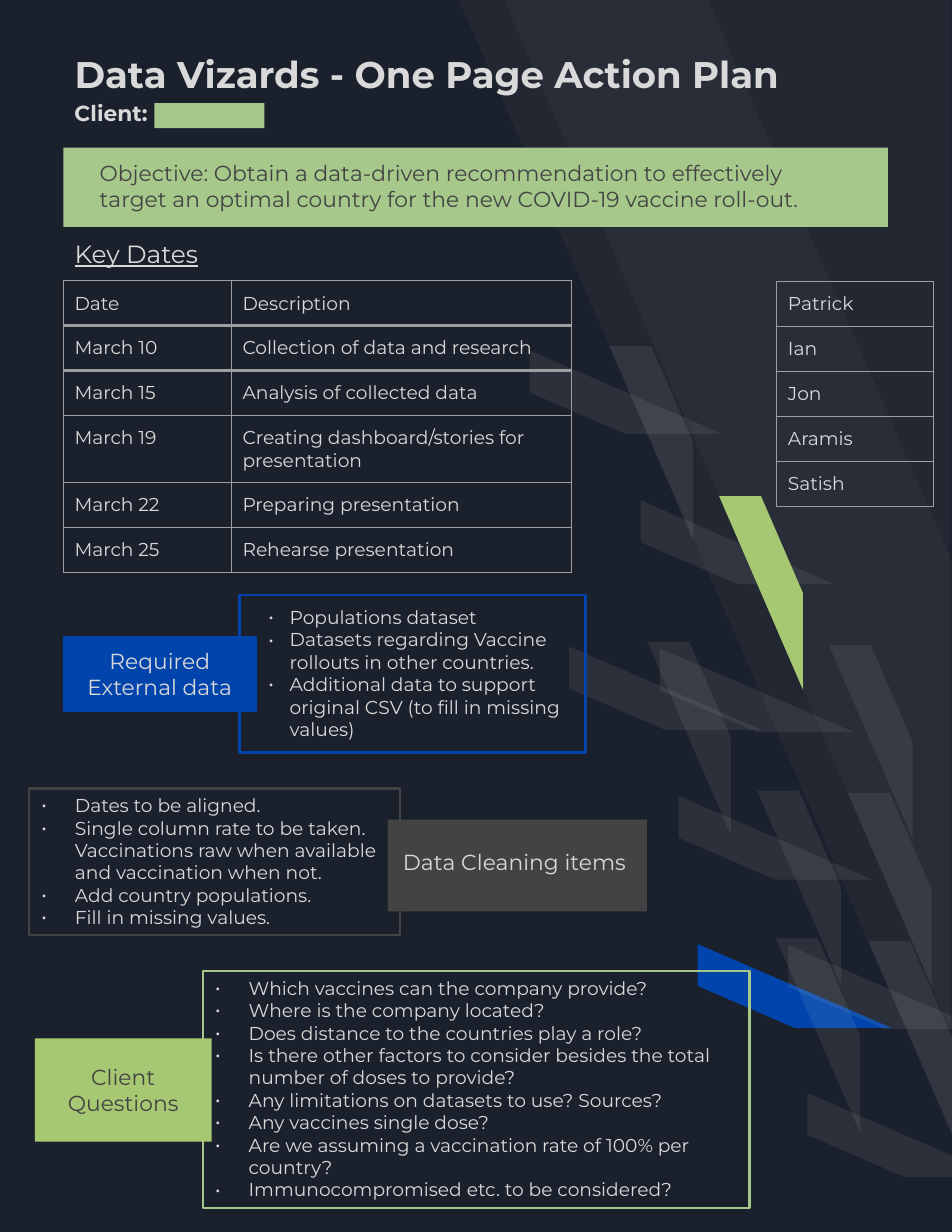
import pptx
import pptx.util
import pptx.dml.color
import pptx.enum.shapes
import pptx.enum.text
import pptx.oxml
import pptx.oxml.ns
from pptx.util import Cm, Pt

LIGHT, DARK, EDGE = "D9D9D9", "434343", "9E9E9E"
BLUE, LIME, SAGE, WHITE = "0145AC", "A7C872", "A7C88B", "FFFFFF"
FONT = "Montserrat"
SHAPE = pptx.enum.shapes.MSO_SHAPE
ALIGN = pptx.enum.text.PP_ALIGN
ANCHOR = pptx.enum.text.MSO_ANCHOR
qn = pptx.oxml.ns.qn
NS = pptx.oxml.ns.nsdecls("a")


def color(code):
    return pptx.dml.color.RGBColor.from_string(code)


def lengths(box):
    return [Cm(value) for value in box]


def write(frame, lines, size, code, align=ALIGN.LEFT, pad=0.25, bold=False):
    """Fill a text frame with one paragraph per line."""
    frame.word_wrap = True
    frame.margin_left = frame.margin_right = Cm(0.25)
    frame.margin_top = frame.margin_bottom = Cm(pad)
    frame.text = "\n".join(lines)
    for para in frame.paragraphs:
        para.alignment = align
        for run in para.runs:
            run.font.name = FONT
            run.font.size = Pt(size)
            run.font.bold = bold
            run.font.color.rgb = color(code)


def block(slide, box, fill=None, line=None, width=1.5, kind=SHAPE.RECTANGLE):
    shape = slide.shapes.add_shape(kind, *lengths(box))
    shape.shadow.inherit = False
    if fill:
        shape.fill.solid()
        shape.fill.fore_color.rgb = color(fill)
    else:
        shape.fill.background()
    if line:
        shape.line.color.rgb = color(line)
        shape.line.width = Pt(width)
    else:
        shape.line.fill.background()
    shape.text_frame.vertical_anchor = ANCHOR.TOP
    return shape


def stripe(slide, box, flip, fill=WHITE, adjust=0.5, alpha=7):
    shape = block(slide, box, fill, kind=SHAPE.DIAGONAL_STRIPE)
    shape.adjustments[0] = adjust
    shape.element.spPr.find(qn("a:xfrm")).set(flip, "1")
    if fill == WHITE:
        tone = shape.element.spPr.find(qn("a:solidFill"))[0]
        tone.append(pptx.oxml.parse_xml(f'<a:alpha {NS} val="{alpha * 1000}"/>'))


def backdrop(slide):
    # Two large bands
    stripe(slide, (10.41, 0, 11.18, 25.7), "flipH", adjust=0.495, alpha=3)
    stripe(slide, (11.44, 0, 10.11, 23.34), "flipH", adjust=0, alpha=3)
    # Runs of small stripes: left, top, count, fill
    flat = [(12.01, 7.95, 1, WHITE), (12.9, 14.66, 1, WHITE), (14.53, 11.35, 3, WHITE),
            (15.82, 21.41, 1, BLUE), (17.88, 21.44, 2, WHITE)]
    tall = [(13.82, 7.85, 1, WHITE), (14.68, 14.55, 1, WHITE), (16.31, 11.25, 1, LIME),
            (18.8, 14.63, 2, WHITE), (17.17, 17.93, 2, WHITE), (19.69, 21.34, 1, WHITE)]
    for runs, size, flip in ((flat, (4.39, 1.9), "flipV"), (tall, (1.9, 4.39), "flipH")):
        for left, top, count, fill in runs:
            for step in range(count):
                place = (left + 0.43 * step, top + 3.35 * step)
                stripe(slide, place + size, flip, fill)


def bullets(slide, box, lines, line, indent=0.79, hang=0.76, pad=0.13):
    shape = block(slide, box, line=line)
    write(shape.text_frame, lines, 12, LIGHT, pad=pad)
    for para in shape.text_frame.paragraphs:
        props = para._p.get_or_add_pPr()
        props.set("marL", str(Cm(indent)))
        props.set("indent", str(-Cm(hang)))
        for mark in (f'<a:buClr {NS}><a:srgbClr val="{LIGHT}"/></a:buClr>',
                     f'<a:buFont {NS} typeface="{FONT}"/>',
                     f'<a:buChar {NS} char="•"/>'):
            props.append(pptx.oxml.parse_xml(mark))


def label(slide, box, text, code=LIGHT, bold=False):
    shape = slide.shapes.add_textbox(*lengths(box))
    write(shape.text_frame, [text], 14, code, bold=bold)


def border(cell, widths):
    """Set cell edges in points; zero hides an edge."""
    props = cell._tc.get_or_add_tcPr()
    for side, width in widths.items():
        fill = f'<a:solidFill><a:srgbClr val="{EDGE}"/></a:solidFill>' if width else "<a:noFill/>"
        props.append(pptx.oxml.parse_xml(
            f'<a:ln{side} {NS} w="{Pt(width)}">{fill}</a:ln{side}>'))


def grid(slide, left, top, cols, heights, rows):
    frame = slide.shapes.add_table(len(rows), len(cols), Cm(left), Cm(top),
                                   Cm(sum(cols)), Cm(sum(heights)))
    table = frame.table
    table.first_row = table.horz_banding = False
    plain = "{2D5ABB26-0587-4C30-8999-92F81FD0307C}"
    table._tbl.tblPr.find(qn("a:tableStyleId")).text = plain
    for col, width in zip(table.columns, cols):
        col.width = Cm(width)
    for row, height, texts in zip(table.rows, heights, rows):
        row.height = Cm(height)
        for cell, text in zip(row.cells, texts):
            write(cell.text_frame, [text], 12, LIGHT)
            cell.margin_left = cell.margin_right = Cm(0.25)
            cell.margin_top = cell.margin_bottom = Cm(0.25)
    return table


def dates(slide):
    rows = [("Key Dates", ""), ("Date", "Description"),
            ("March 10", "Collection of data and research"),
            ("March 15", "Analysis of collected data"),
            ("March 19", "Creating dashboard/stories for presentation"),
            ("March 22", "Preparing presentation"),
            ("March 25", "Rehearse presentation")]
    heights = [1.19, 1, 1.02, 1.02, 1.52, 1.02, 1.02]
    table = grid(slide, 1.44, 5.18, (3.81, 7.7), heights, rows)
    for index, row in enumerate(table.rows):
        side = 0.75 if index else 0
        base = 2.25 if index in (1, 2) else 0.75
        for cell in row.cells:
            border(cell, {"L": side, "R": side, "T": side, "B": base})
            cell.fill.background()
    head = table.cell(0, 0)
    head.merge(table.cell(0, 1))
    run = head.text_frame.paragraphs[0].runs[0]
    run.font.size = Pt(16)
    run.font.underline = True


def team(slide):
    names = [(name,) for name in ("Patrick", "Ian", "Jon", "Aramis", "Satish")]
    table = grid(slide, 17.62, 6.38, (3.56,), [1.02] * len(names), names)
    for cell in table.iter_cells():
        border(cell, dict.fromkeys("LRTB", 0.75))
        cell.fill.background()


def heading(slide):
    title = slide.shapes.title
    title.left, title.top, title.width, title.height = lengths((1.44, 0.13, 18.7, 3.07))
    write(title.text_frame, ["Data Vizards - One Page Action Plan"], 23.8, LIGHT, bold=True)
    title.text_frame.vertical_anchor = ANCHOR.MIDDLE
    title.element.getparent().append(title.element)
    # Client line with a plain plate
    label(slide, (1.44, 2.02, 2.3, 1.1), "Client:", bold=True)
    block(slide, (3.5, 2.34, 2.5, 0.57), SAGE)
    # Objective
    block(slide, (1.44, 3.35, 18.7, 1.8), SAGE)
    label(slide, (2.01, 3.38, 17.6, 1.7), "Objective: Obtain a data-driven recommendation to "
          "effectively target an optimal country for the new COVID-19 vaccine roll-out.", DARK)


def main():
    deck = pptx.Presentation()
    deck.slide_width, deck.slide_height = Cm(21.59), Cm(27.94)
    slide = deck.slides.add_slide(deck.slide_layouts[5])
    slide.background.fill.solid()
    slide.background.fill.fore_color.rgb = color("1B212C")
    backdrop(slide)
    heading(slide)
    dates(slide)
    team(slide)

    # Required data
    bullets(slide, (5.43, 13.49, 7.85, 3.58), [
        "Populations dataset",
        "Datasets regarding Vaccine rollouts in other countries.",
        "Additional data to support original CSV (to fill in missing values)",
    ], BLUE, 0.89, 0.48, 0.25)
    need = block(slide, (1.44, 14.43, 4.37, 1.7), BLUE, BLUE, 0.75)
    write(need.text_frame, ["Required External data"], 14, LIGHT, ALIGN.CENTER)

    # Data cleaning
    block(slide, (8.8, 18.59, 5.87, 2.08), DARK)
    bullets(slide, (0.66, 17.88, 8.41, 3.33), [
        "Dates to be aligned.",
        "Single column rate to be taken. Vaccinations raw when available and vaccination when not.",
        "Add country populations.",
        "Fill in missing values.",
    ], DARK)
    label(slide, (8.89, 19, 5.72, 1.12), "Data Cleaning items")

    # Client questions
    bullets(slide, (4.6, 22.02, 12.4, 5.38), [
        "Which vaccines can the company provide?",
        "Where is the company located?",
        "Does distance to the countries play a role?",
        "Is there other factors to consider besides the total number of doses to provide?",
        "Any limitations on datasets to use? Sources?",
        "Any vaccines single dose?",
        "Are we assuming a vaccination rate of 100% per country?",
        "Immunocompromised etc. to be considered?",
    ], SAGE)
    ask = block(slide, (0.79, 23.55, 4.01, 2.34), LIME)
    write(ask.text_frame, ["Client Questions"], 14, DARK, ALIGN.CENTER)
    ask.text_frame.vertical_anchor = ANCHOR.MIDDLE
    deck.save("out.pptx")


if __name__ == "__main__":
    main()
